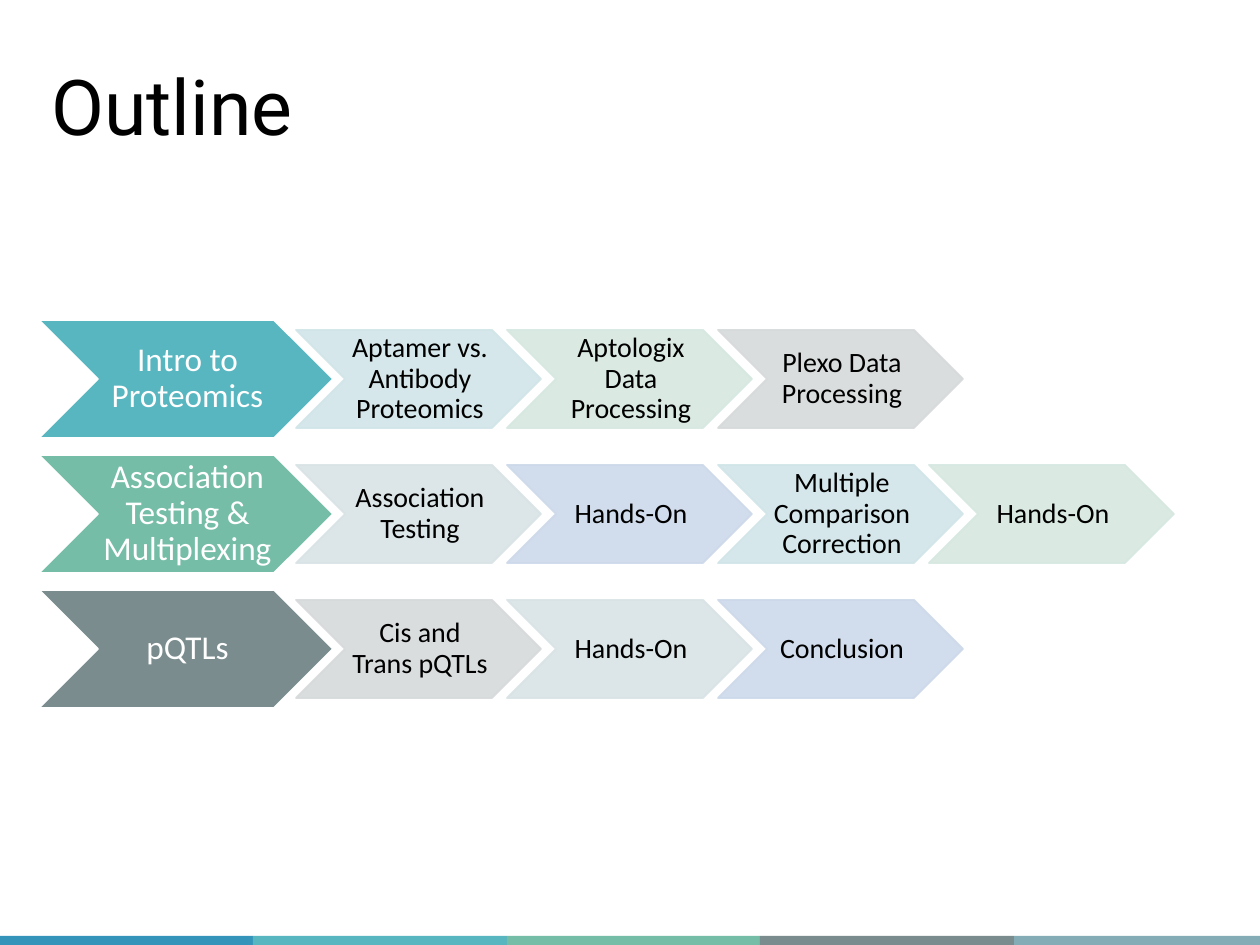
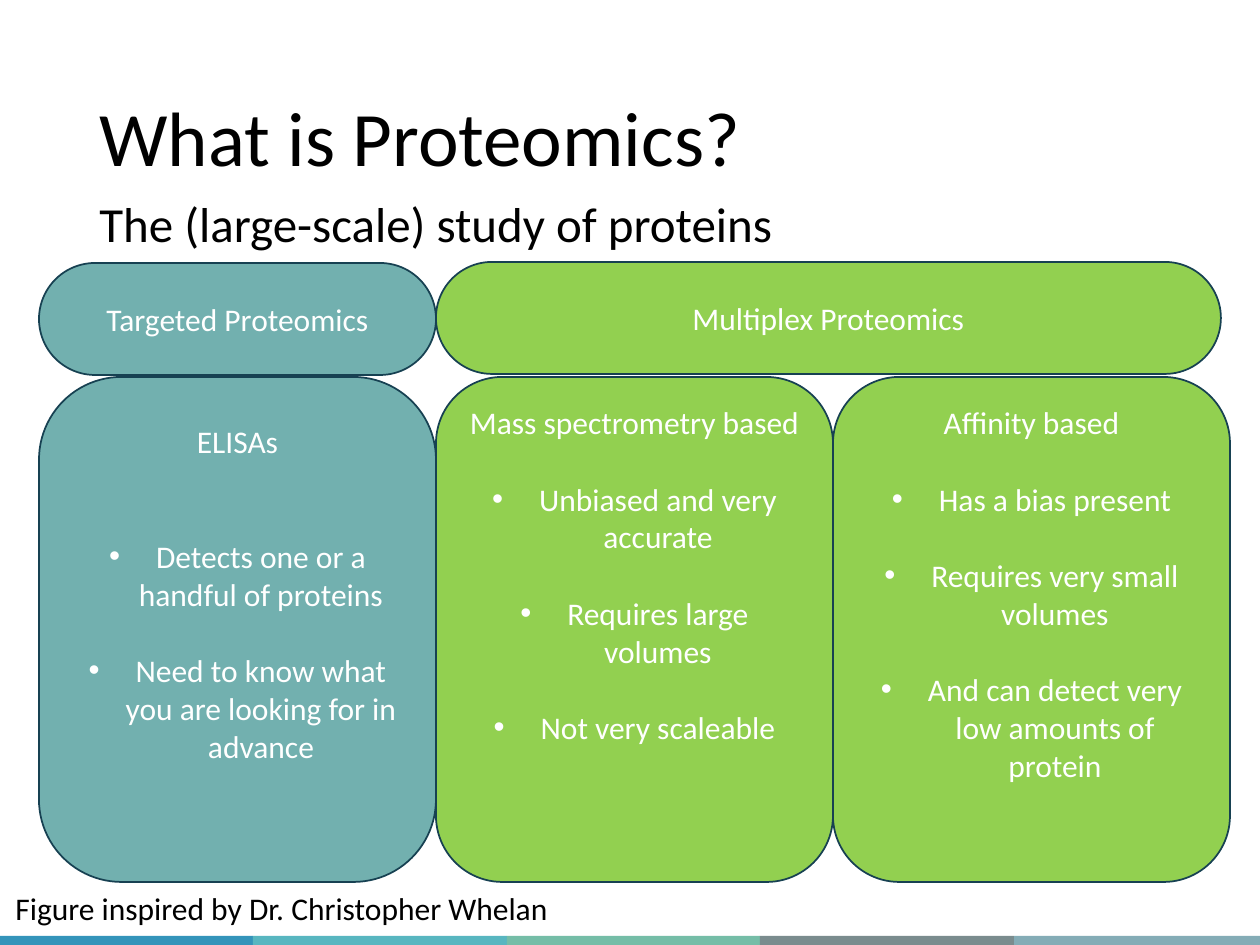
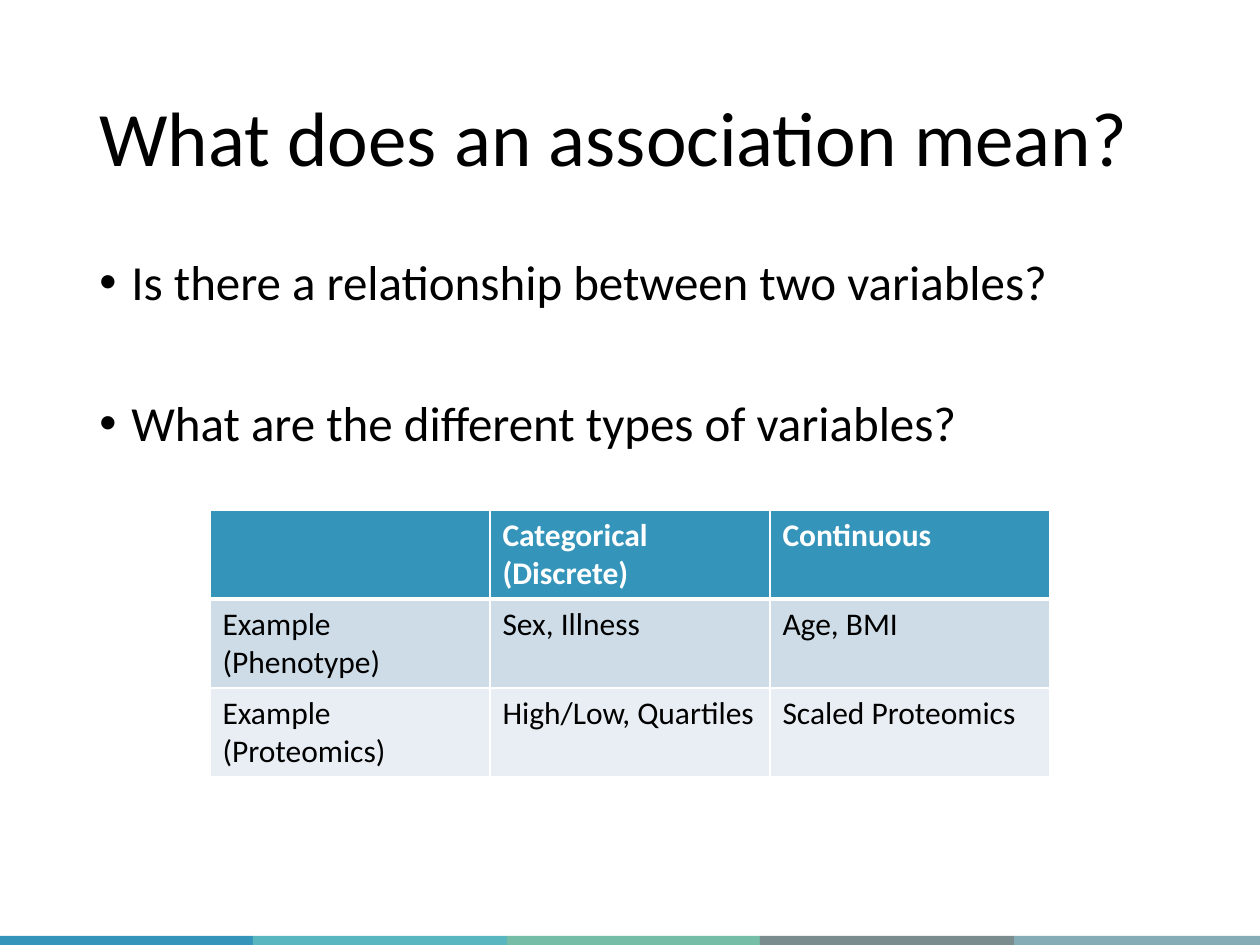
import pptx
import pptx.dml.color
import pptx.enum.shapes
import pptx.enum.text
import pptx.oxml.ns
import pptx.util
import lxml.etree

PX = pptx.util.Inches(1) // 126
COLORS = {
    "black": "000000", "white": "FFFFFF", "outline": "174152",
    "blue": "3494BA", "aqua": "58B6C0", "green": "75BDA7",
    "slate": "7A8C8E", "steel": "84ACB6",
    "pale aqua": "D1E5E8", "pale green": "D6E8E1", "pale slate": "D7DADB",
    "pale steel": "D9E3E5", "pale blue": "CDD9EA",
    "teal": "72B0AF", "lime": "92D050",
    "row dark": "CEDCE7", "row light": "E8EEF3",
}
RGB = {name: pptx.dml.color.RGBColor.from_string(code) for name, code in COLORS.items()}
SHAPE = pptx.enum.shapes.MSO_SHAPE
ANCHOR = pptx.enum.text.MSO_ANCHOR
CENTER = pptx.enum.text.PP_ALIGN.CENTER
qn = pptx.oxml.ns.qn


def add_panel(page, kind, left, top, width, height, fill, line=None, anchor=ANCHOR.MIDDLE):
    panel = page.shapes.add_shape(kind, left * PX, top * PX, width * PX, height * PX)
    panel.shadow.inherit = False
    panel.fill.solid()
    panel.fill.fore_color.rgb = RGB[fill]
    if line:
        panel.line.color.rgb = RGB[line]
        panel.line.width = pptx.util.Pt(1)
    else:
        panel.line.fill.background()
    panel.text_frame.word_wrap = True
    panel.text_frame.vertical_anchor = anchor
    return panel


def write(frame, text, size, color="black", font="Calibri", align=None,
          spacing=None, gap=0, bullet_indent=0, bold=False):
    para = frame.add_paragraph() if frame.text else frame.paragraphs[0]
    if bullet_indent:
        properties = para._p.get_or_add_pPr()
        properties.set("marL", str(bullet_indent * PX))
        properties.set("indent", str(-bullet_indent * PX))
        lxml.etree.SubElement(properties, qn("a:buFont")).set("typeface", "Arial")
        lxml.etree.SubElement(properties, qn("a:buChar")).set("char", "•")
    if align is not None:
        para.alignment = align
    if spacing:
        para.line_spacing = spacing
    if gap:
        para.space_before = pptx.util.Pt(gap)
    span = para.add_run()
    span.text = text
    span.font.name = font
    span.font.size = pptx.util.Pt(size)
    span.font.bold = bold
    span.font.color.rgb = RGB[color]


deck = pptx.Presentation()
deck.slide_width = pptx.util.Inches(10)
deck.slide_height = pptx.util.Inches(7.5)

# Shared parts: bottom band, title and body text
band_edges = [0, 253, 507, 760, 1014, 1260]
band_colors = ["blue", "aqua", "green", "slate", "steel"]
openings = [
    ("Outline", "Roboto", 39, 19, 0, 0, []),
    ("What is Proteomics?", "Calibri", 87, 50, 194, 0,
     ["The (large-scale) study of proteins"]),
    ("What does an association mean?", "Calibri", 87, 50, 252, 32,
     ["Is there a relationship between two variables?",
      "What are the different types of variables?"]),
]
pages = []
for title, font, left, top, body_top, indent, sentences in openings:
    page = deck.slides.add_slide(deck.slide_layouts[6])
    pages.append(page)
    for start, end, color in zip(band_edges, band_edges[1:], band_colors):
        add_panel(page, SHAPE.RECTANGLE, start, 936, end - start, 9, color)
    box = page.shapes.add_textbox(left * PX, top * PX, 1086 * PX, 183 * PX)
    box.text_frame.word_wrap = True
    box.text_frame.vertical_anchor = ANCHOR.MIDDLE
    write(box.text_frame, title, 44, font=font, spacing=0.9)
    if sentences:
        box = page.shapes.add_textbox(87 * PX, body_top * PX, 1086 * PX, 600 * PX)
        box.text_frame.word_wrap = True
    for index, sentence in enumerate(sentences):
        write(box.text_frame, sentence, 28, spacing=0.9,
              gap=50 * index, bullet_indent=indent)
outline, proteomics, association = pages

# Outline: one row of chevrons per session
sessions = [
    [("Intro to Proteomics", "aqua"), ("Aptamer vs. Antibody Proteomics", "pale aqua"),
     ("Aptologix Data Processing", "pale green"), ("Plexo Data Processing", "pale slate")],
    [("Association Testing & Multiplexing", "green"), ("Association Testing", "pale steel"),
     ("Hands-On", "pale blue"), ("Multiple Comparison Correction", "pale aqua"),
     ("Hands-On", "pale green")],
    [("pQTLs", "slate"), ("Cis and Trans pQTLs", "pale slate"),
     ("Hands-On", "pale steel"), ("Conclusion", "pale blue")],
]
for row, steps in enumerate(sessions):
    row_top = 320 + 135 * row
    for column, (label, color) in enumerate(steps):
        if column == 0:
            chevron = add_panel(outline, SHAPE.CHEVRON, 39, row_top, 294, 118, color, "white")
        else:
            chevron = add_panel(outline, SHAPE.CHEVRON, 296 + 211 * (column - 1),
                                row_top + 10, 245, 98, color, color)
            for tint in chevron._element.spPr.iter(qn("a:srgbClr")):
                lxml.etree.SubElement(tint, qn("a:alpha")).set("val", "90000")
        frame = chevron.text_frame
        frame.margin_left, frame.margin_right = 3 * PX, 0
        frame.margin_top = frame.margin_bottom = PX
        size, ink = (16, "black") if column else (19, "white")
        write(frame, label, size, ink, align=CENTER, spacing=0.9)

# Proteomics: method cards
cards = [
    ("ELISAs", "teal", 0.208, 21, 44,
     ["Detects one or a handful of proteins",
      "Need to know what you are looking for in advance"]),
    ("Mass spectrometry based", "lime", 0.167, 7, 22,
     ["Unbiased and very accurate", "Requires large volumes", "Not very scaleable"]),
    ("Affinity based", "lime", 0.167, 7, 22,
     ["Has a bias present", "Requires very small volumes",
      "And can detect very low amounts of protein"]),
]
for column, (heading, color, rounding, inset, first_gap, points) in enumerate(cards):
    card = add_panel(proteomics, SHAPE.ROUNDED_RECTANGLE, 39 + 397 * column, 377, 397, 505,
                     color, "outline", ANCHOR.TOP)
    card.adjustments[0] = rounding
    card.text_frame.margin_top = inset * PX
    write(card.text_frame, heading, 18, "white", align=CENTER)
    for index, point in enumerate(points):
        write(card.text_frame, point, 18, "white", align=CENTER,
              gap=22 if index else first_gap, bullet_indent=47)

# Proteomics: credit line and group headers
credit = proteomics.shapes.add_textbox(3 * PX, 883 * PX, 564 * PX, 50 * PX)
credit.text_frame.word_wrap = False
write(credit.text_frame, "Figure inspired by Dr. Christopher Whelan", 18)

for label, color, left, top, width in [
    ("Targeted Proteomics", "teal", 39, 263, 397),
    ("Multiplex Proteomics", "lime", 436, 262, 785),
]:
    header = add_panel(proteomics, SHAPE.ROUNDED_RECTANGLE, left, top, width, 112,
                       color, "outline")
    header.adjustments[0] = 0.5
    write(header.text_frame, label, 18, "white", align=CENTER)

# Association: table of variable types
variable_rows = [
    ("blue", ["", "Categorical (Discrete)", "Continuous"]),
    ("row dark", ["Example (Phenotype)", "Sex, Illness", "Age, BMI"]),
    ("row light", ["Example (Proteomics)", "High/Low, Quartiles", "Scaled Proteomics"]),
]
table = association.shapes.add_table(3, 3, 210 * PX, 510 * PX, 840 * PX, 267 * PX).table
table.horz_banding = False
for row, (color, labels) in enumerate(variable_rows):
    table.rows[row].height = 89 * PX
    for column, label in enumerate(labels):
        cell = table.cell(row, column)
        cell.fill.solid()
        cell.fill.fore_color.rgb = RGB[color]
        if label:
            write(cell.text_frame, label, 18, "black" if row else "white", bold=row == 0)
        properties = cell._tc.get_or_add_tcPr()
        for order, side in enumerate(["lnL", "lnR", "lnT", "lnB"]):
            thick = (row, side) in [(0, "lnB"), (1, "lnT")]
            border = lxml.etree.Element(qn("a:" + side))
            border.set("w", str(pptx.util.Pt(3 if thick else 1)))
            paint = lxml.etree.SubElement(border, qn("a:solidFill"))
            lxml.etree.SubElement(paint, qn("a:srgbClr")).set("val", COLORS["white"])
            properties.insert(order, border)

deck.save("out.pptx")
